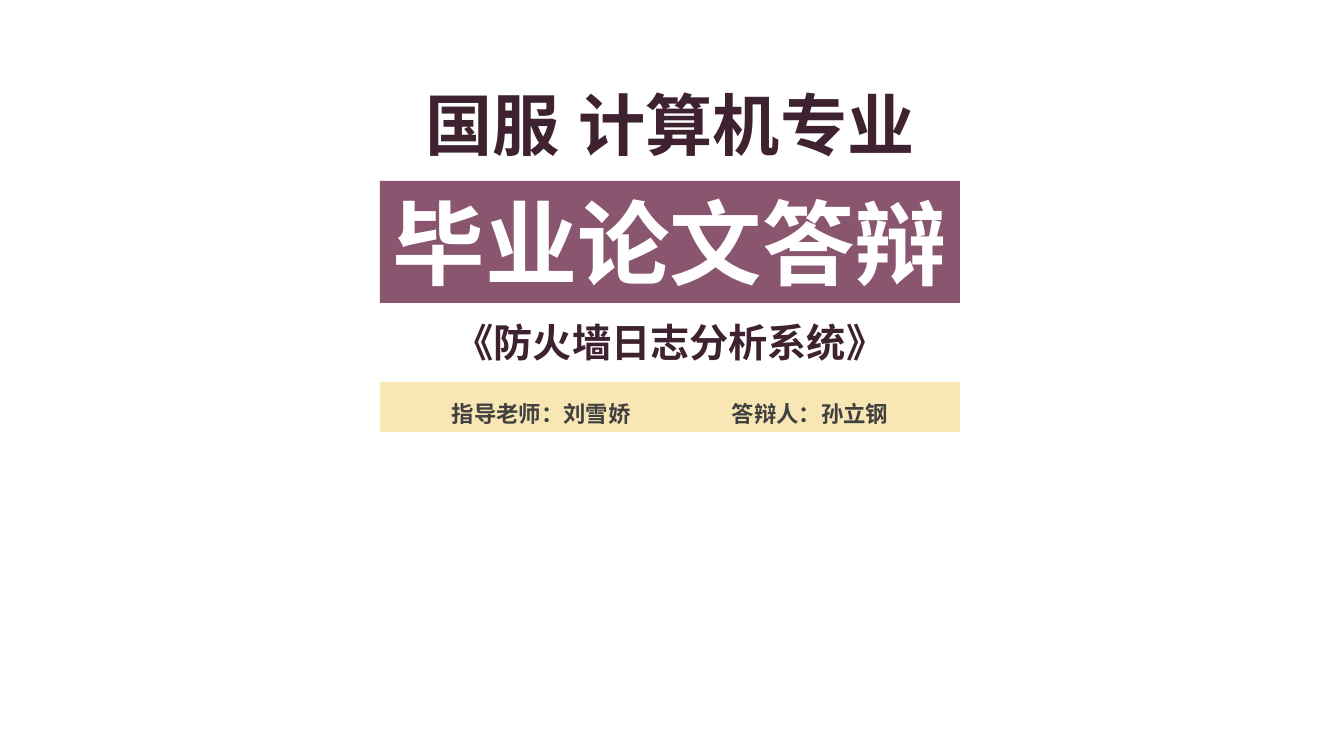
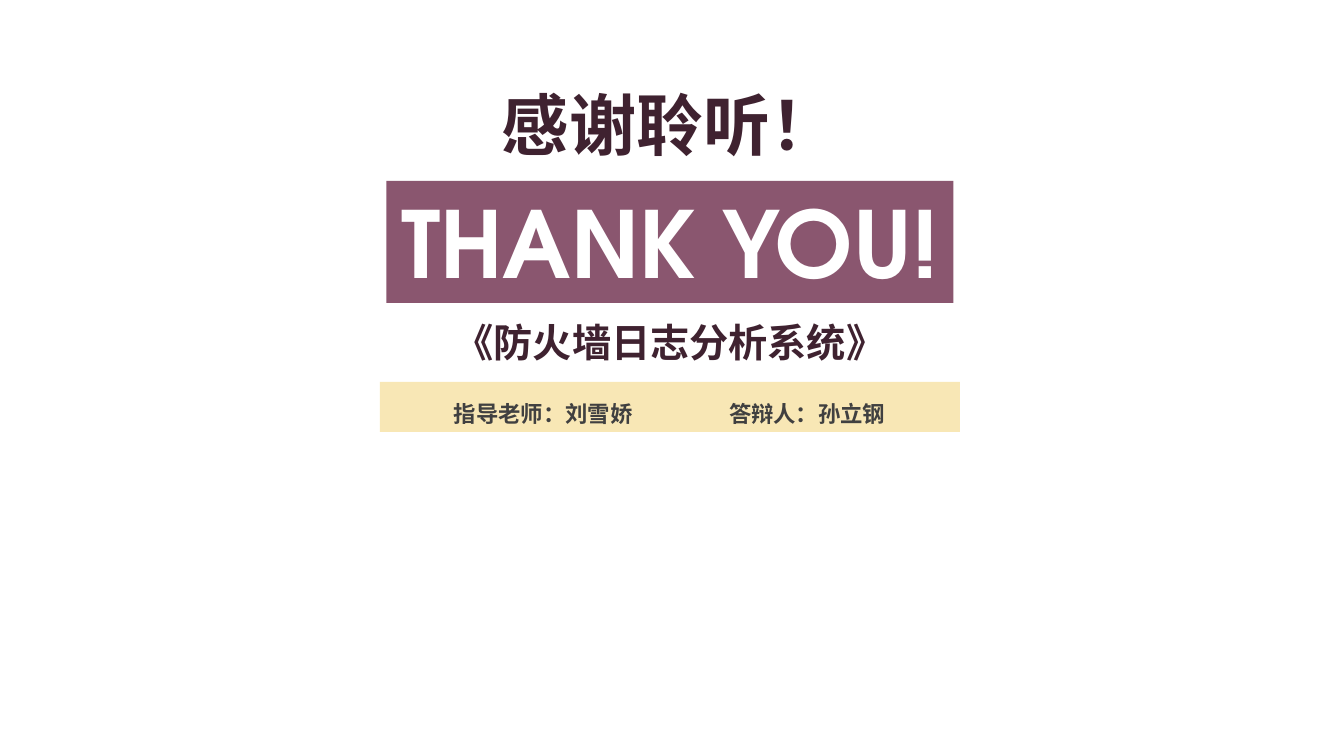
from lxml import etree
from pptx import Presentation
from pptx.dml.color import RGBColor
from pptx.enum.shapes import MSO_SHAPE
from pptx.enum.text import MSO_ANCHOR, PP_ALIGN
from pptx.oxml.ns import qn
from pptx.util import Emu, Pt

RECTANGLE = MSO_SHAPE.RECTANGLE
MIDDLE, TOP = MSO_ANCHOR.MIDDLE, MSO_ANCHOR.TOP
CENTER, LEFT = PP_ALIGN.CENTER, PP_ALIGN.LEFT

EMU_PER_PX = 914400 / 100.8
SLIDE_W, SLIDE_H = 1344, 756
AXIS = 670
INSET_X, INSET_Y = 10, 5
COLORS = {
    "heading": "3F2230",
    "banner": "7E4460",
    "banner_text": "FFFFFF",
    "credits": "F3D06C",
    "credits_text": "404040",
}
HEADING_FONT = "TeX Gyre Adventor"
CREDITS_FONT = "Noto Sans CJK SC"
THESIS = "《防火墙日志分析系统》"
ADVISER, CANDIDATE = "指导老师：刘雪娇", "答辩人：孙立钢"


def px(length):
    return Emu(round(length * EMU_PER_PX))


def centered_box(width, top, height):
    return AXIS - width / 2, top, width, height


def add_run(paragraph, text, size, color, font=HEADING_FONT):
    run = paragraph.add_run()
    run.text = text
    run.font.size = Pt(size)
    run.font.bold = True
    run.font.name = font
    run.font.color.rgb = RGBColor.from_string(COLORS[color])
    etree.SubElement(run.font._element, qn("a:ea"), typeface=HEADING_FONT)


def set_up_text(shape, anchor, align, wrap=False, left=INSET_X):
    frame = shape.text_frame
    frame.word_wrap = wrap
    frame.vertical_anchor = anchor
    frame.margin_left, frame.margin_right = px(left), px(INSET_X)
    frame.margin_top = frame.margin_bottom = px(INSET_Y)
    paragraph = frame.paragraphs[0]
    paragraph.alignment = align
    return paragraph


def add_heading(slide, box, text, size):
    heading = slide.shapes.add_textbox(*map(px, box))
    add_run(set_up_text(heading, TOP, CENTER), text, size, "heading")


def add_band(slide, box, color, opacity):
    band = slide.shapes.add_shape(RECTANGLE, *map(px, box))
    band.shadow.inherit = False
    band.line.fill.background()
    band.fill.solid()
    band.fill.fore_color.rgb = RGBColor.from_string(COLORS[color])
    tint = band.fill._xPr.find(qn("a:solidFill"))[0]
    etree.SubElement(tint, qn("a:alpha"), val=str(opacity * 1000))
    return band


def add_banner(slide, box, text):
    banner = add_band(slide, box, "banner", 90)
    add_run(set_up_text(banner, MIDDLE, CENTER), text, 66, "banner_text")


def add_credits(slide, box, adviser_x, candidate_x):
    band = add_band(slide, box, "credits", 50)
    paragraph = set_up_text(band, MIDDLE, LEFT, True, adviser_x)
    paragraph.line_spacing = 1.5
    tabs = etree.SubElement(paragraph._p.get_or_add_pPr(), qn("a:tabLst"))
    etree.SubElement(tabs, qn("a:tab"), pos=str(px(candidate_x - adviser_x)), algn="l")
    add_run(paragraph, f"{ADVISER}\t{CANDIDATE}", 16, "credits_text", CREDITS_FONT)


def add_title_slide(deck, title, title_w, banner, banner_w, adviser_x, candidate_x):
    slide = deck.slides.add_slide(deck.slide_layouts[6])
    add_heading(slide, centered_box(title_w, 78, 92), title, 48)
    add_banner(slide, centered_box(banner_w, 181, 122), banner)
    add_heading(slide, centered_box(456, 313, 57), THESIS, 28)
    add_credits(slide, centered_box(580, 382, 50), adviser_x, candidate_x)


def main():
    deck = Presentation()
    deck.slide_width, deck.slide_height = px(SLIDE_W), px(SLIDE_H)
    add_title_slide(deck, "国服 计算机专业", 515, "毕业论文答辩", 580, 72, 352)
    add_title_slide(deck, "感谢聆听！", 360, "THANK YOU!", 567, 74, 349)
    deck.save("out.pptx")


if __name__ == "__main__":
    main()
